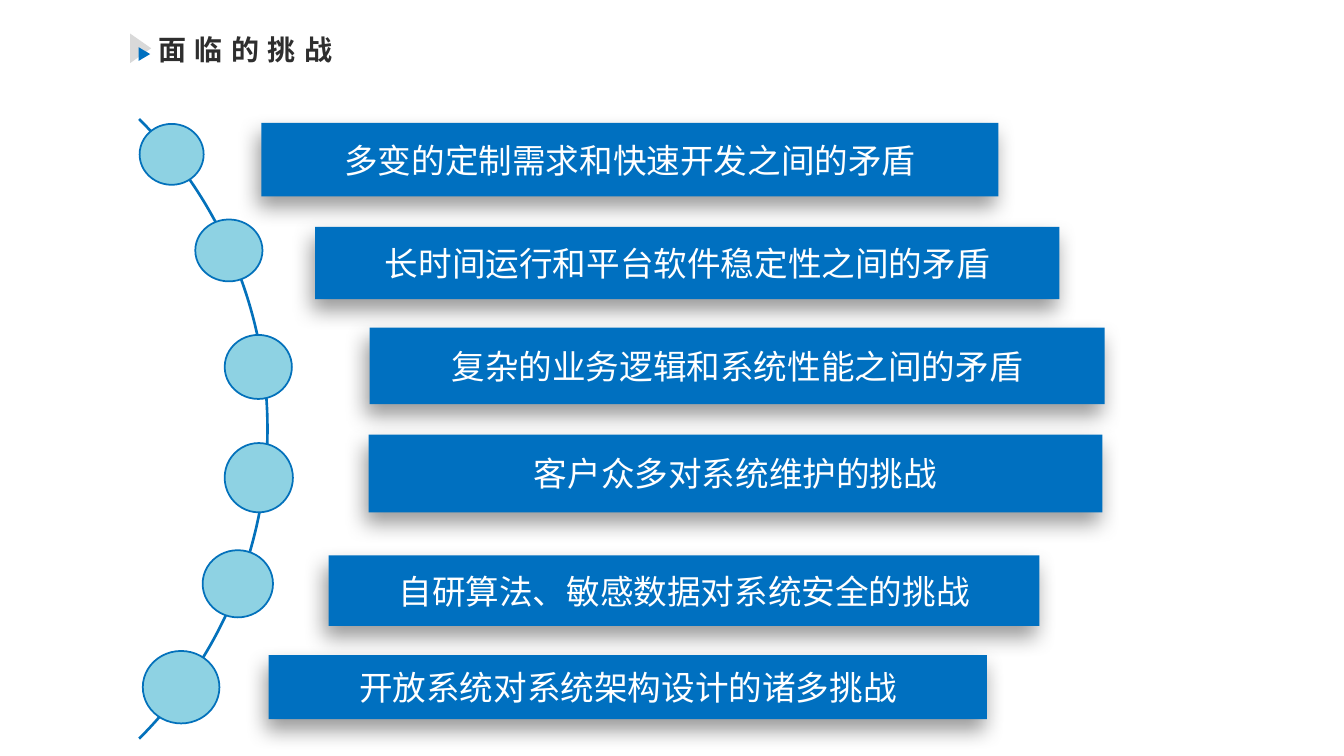
from pptx import Presentation
from pptx import util as u
from pptx.dml.color import RGBColor
from pptx.enum import shapes, text
from pptx.oxml import parse_xml
from pptx.oxml.ns import nsdecls, qn

EMU_PER_PX = 9525
BLUE, ARC_BLUE, PALE_BLUE = "0070C0", "0371BB", "8ED2E3"
GREY, DARK, WHITE = "D9D9D9", "2E2E2E", "FFFFFF"
CJK_FONT = "Noto Sans CJK SC"

# Challenge, bar box, node box (left, top, width, height in px)
CHALLENGES = [
    ("多变的定制需求和快速开发之间的矛盾", (249, 117, 702, 70), (133, 118, 61, 58)),
    ("长时间运行和平台软件稳定性之间的矛盾", (300, 216, 709, 69), (186, 209, 64, 59)),
    ("复杂的业务逻辑和系统性能之间的矛盾", (352, 312, 700, 73), (214, 319, 64, 61)),
    ("客户众多对系统维护的挑战", (351, 414, 699, 74), (214, 422, 65, 66)),
    ("自研算法、敏感数据对系统安全的挑战", (313, 529, 677, 67), (193, 524, 67, 64)),
    ("开放系统对系统架构设计的诸多挑战", (256, 624, 684, 61), (136, 620, 73, 69)),
]


def px(value):
    return u.Emu(value * EMU_PER_PX)


def color(hex_code):
    return RGBColor.from_string(hex_code)


def add_figure(slide, kind, box, fill, line=None, adjustments=()):
    figure = slide.shapes.add_shape(kind, *map(px, box))
    figure.shadow.inherit = False
    figure.fill.solid()
    figure.fill.fore_color.rgb = color(fill)
    if line:
        figure.line.color.rgb = color(line)
        figure.line.width = u.Pt(1.25)
    else:
        figure.line.fill.background()
    for index, value in enumerate(adjustments):
        figure.adjustments[index] = value
    return figure


def style_paragraph(paragraph, latin, size, hex_code, bold=False, spacing=0):
    """Format the whole paragraph; spacing is in points between letters."""
    font = paragraph.font
    font.name, font.size, font.bold = latin, u.Pt(size), bold
    font.color.rgb = color(hex_code)
    defaults = paragraph._p.pPr.find(qn("a:defRPr"))
    defaults.set("spc", str(spacing * 100))
    defaults.find(qn("a:latin")).addnext(
        parse_xml(f'<a:ea {nsdecls("a")} typeface="{CJK_FONT}"/>'))


def add_soft_shadow(figure):
    effects = figure._element.spPr.find(qn("a:effectLst"))
    effects.append(parse_xml(
        f'<a:outerShdw {nsdecls("a")} blurRad="{u.Pt(15)}" dist="{u.Pt(8)}" '
        f'dir="{109 * 60000}" algn="ctr" rotWithShape="0">'
        '<a:srgbClr val="000000"><a:alpha val="40000"/></a:srgbClr>'
        '</a:outerShdw>'))


def add_heading(slide, wording):
    title = slide.shapes.title
    title.left, title.top, title.width, title.height = map(px, (141, 26, 195, 42))
    frame = title.text_frame
    frame.text = wording
    frame.word_wrap = False
    frame.auto_size = text.MSO_AUTO_SIZE.SHAPE_TO_FIT_TEXT
    frame.vertical_anchor = text.MSO_ANCHOR.TOP
    paragraph = frame.paragraphs[0]
    paragraph.alignment = text.PP_ALIGN.LEFT
    style_paragraph(paragraph, "Calibri", 20, DARK, bold=True, spacing=6)
    for box, fill in (((124, 32, 20, 28), GREY), ((132, 45, 11, 13), BLUE)):
        add_figure(slide, shapes.MSO_SHAPE.RIGHT_ARROW, box, fill,
                   adjustments=(0.5, 1))


def add_challenge(slide, wording, bar_box, node_box):
    bar = add_figure(slide, shapes.MSO_SHAPE.RECTANGLE, bar_box, BLUE)
    add_soft_shadow(bar)
    frame = bar.text_frame
    frame.text = wording
    frame.word_wrap = True
    frame.vertical_anchor = text.MSO_ANCHOR.MIDDLE
    paragraph = frame.paragraphs[0]
    paragraph.alignment = text.PP_ALIGN.CENTER
    style_paragraph(paragraph, CJK_FONT, 24, WHITE)
    add_figure(slide, shapes.MSO_SHAPE.OVAL, node_box, PALE_BLUE, ARC_BLUE)


def main():
    deck = Presentation()
    deck.slide_width, deck.slide_height = px(1280), px(720)
    slide = deck.slides.add_slide(deck.slide_layouts[5])
    add_heading(slide, "面临的挑战")
    add_figure(slide, shapes.MSO_SHAPE.BLOCK_ARC, (-581, -10, 837, 837),
               ARC_BLUE, adjustments=(189, 27, 0.003))
    for challenge in CHALLENGES:
        add_challenge(slide, *challenge)
    deck.save("out.pptx")


if __name__ == "__main__":
    main()
